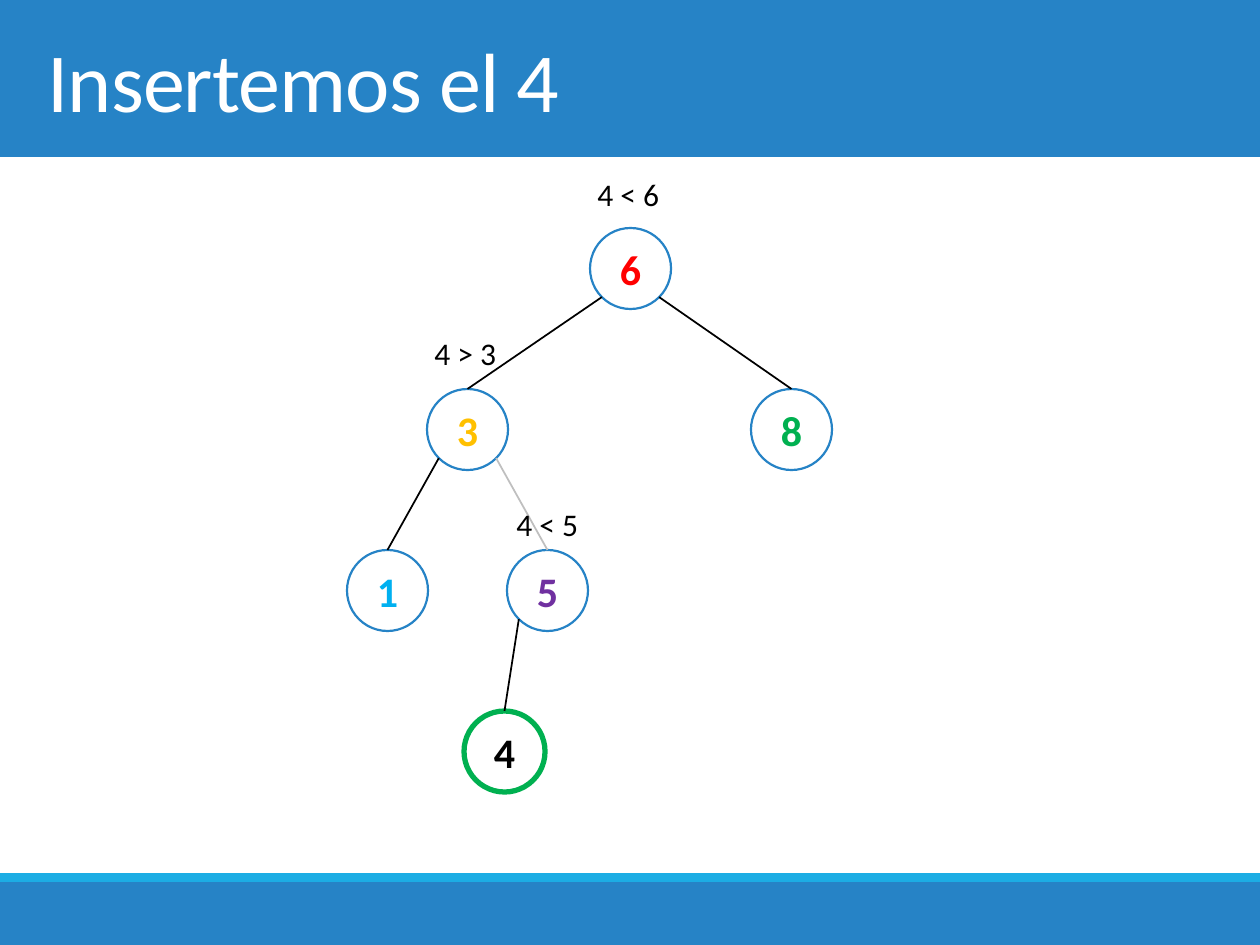
from dataclasses import dataclass
from math import sqrt

from lxml import etree
from pptx import Presentation
from pptx.dml.color import RGBColor
from pptx.enum.shapes import MSO_CONNECTOR, MSO_SHAPE
from pptx.enum.text import MSO_ANCHOR, MSO_AUTO_SIZE, PP_ALIGN
from pptx.oxml.ns import qn
from pptx.util import Emu, Inches, Pt

PX_PER_INCH = 126
PAGE_WIDTH, PAGE_HEIGHT = 1260, 945
NODE_SIZE = 81
LEVEL_TOP, LEVEL_GAP = 228, 161
LABEL_WIDTH, LABEL_HEIGHT = 88, 50
FONT = "Calibri"

STRAIGHT = MSO_CONNECTOR.STRAIGHT
RECTANGLE, OVAL = MSO_SHAPE.RECTANGLE, MSO_SHAPE.OVAL
MIDDLE, TOP = MSO_ANCHOR.MIDDLE, MSO_ANCHOR.TOP
LEFT, CENTER = PP_ALIGN.LEFT, PP_ALIGN.CENTER
NO_FIT, GROW = MSO_AUTO_SIZE.NONE, MSO_AUTO_SIZE.SHAPE_TO_FIT_TEXT

WHITE = RGBColor(0xFF, 0xFF, 0xFF)
BLACK = RGBColor(0x00, 0x00, 0x00)
BLUE = RGBColor(0x26, 0x83, 0xC6)
CYAN = RGBColor(0x1C, 0xAD, 0xE4)
GRAY = RGBColor(0xBF, 0xBF, 0xBF)
RED = RGBColor(0xFF, 0x00, 0x00)
GREEN = RGBColor(0x00, 0xB0, 0x50)
GOLD = RGBColor(0xFF, 0xC0, 0x00)
SKY = RGBColor(0x00, 0xB0, 0xF0)
PURPLE = RGBColor(0x70, 0x30, 0xA0)


@dataclass(frozen=True)
class Band:
    top: int
    height: int
    color: RGBColor


@dataclass(frozen=True)
class Node:
    key: str
    left: int
    level: int
    color: RGBColor
    outline: RGBColor = BLUE
    outline_width: float = 1.25

    @property
    def top(self) -> int:
        return LEVEL_TOP + self.level * LEVEL_GAP

    @property
    def center(self) -> float:
        return self.left + NODE_SIZE / 2


@dataclass(frozen=True)
class Edge:
    parent: str
    child: str
    color: RGBColor = BLACK


@dataclass(frozen=True)
class Label:
    text: str
    left: int
    top: int


BANDS = [Band(0, 157, BLUE), Band(882, 63, BLUE), Band(873, 9, CYAN)]
NODES = [
    Node("6", 590, 0, RED),
    Node("8", 751, 1, GREEN),
    Node("3", 427, 1, GOLD),
    Node("1", 347, 2, SKY),
    Node("5", 507, 2, PURPLE),
    Node("4", 464, 3, BLACK, GREEN, 3),
]
EDGES = [
    Edge("6", "8"),
    Edge("3", "1"),
    Edge("3", "5", GRAY),
    Edge("6", "3"),
    Edge("5", "4"),
]
LABELS = [
    Label("4 < 6", 585, 169),
    Label("4 > 3", 422, 328),
    Label("4 < 5", 504, 499),
]


def px(length: float) -> Emu:
    return Emu(round(length * Inches(1) / PX_PER_INCH))


def write_text(box, text: str, *, size: int, color: RGBColor, bold=False,
               align=LEFT, anchor=TOP, wrap=True, fit=NO_FIT, spacing=0) -> None:
    frame = box.text_frame
    frame.word_wrap = wrap
    frame.auto_size = fit
    frame.vertical_anchor = anchor
    para = frame.paragraphs[0]
    para.alignment = align
    span = para.add_run()
    span.text = text
    span.font.name = FONT
    span.font.size = Pt(size)
    span.font.bold = bold
    span.font.color.rgb = color
    if spacing:
        span.font._element.set("spc", str(spacing))


def draw_band(page, band: Band) -> None:
    box = page.shapes.add_shape(
        RECTANGLE, 0, px(band.top), px(PAGE_WIDTH), px(band.height))
    box.shadow.inherit = False
    box.fill.solid()
    box.fill.fore_color.rgb = band.color
    box.line.fill.background()


def place_title(page, text: str) -> None:
    title = page.shapes.title
    title.left, title.top = px(35), px(0)
    title.width, title.height = px(1191), px(157)
    write_text(title, text, size=48, color=WHITE, anchor=MIDDLE, spacing=-50)
    title.element.getparent().append(title.element)


def draw_node(page, node: Node) -> None:
    circle = page.shapes.add_shape(
        OVAL, px(node.left), px(node.top), px(NODE_SIZE), px(NODE_SIZE))
    circle.shadow.inherit = False
    circle.fill.solid()
    circle.fill.fore_color.rgb = WHITE
    circle.line.color.rgb = node.outline
    circle.line.width = Pt(node.outline_width)
    write_text(circle, node.key, size=24, color=node.color, bold=True,
               align=CENTER, anchor=MIDDLE)


def draw_edge(page, edge: Edge, nodes: dict[str, Node]) -> None:
    parent, child = nodes[edge.parent], nodes[edge.child]
    reach = NODE_SIZE / 2 / sqrt(2)
    side = 1 if child.center > parent.center else -1
    line = page.shapes.add_connector(
        STRAIGHT,
        px(parent.center + side * reach), px(parent.top + NODE_SIZE / 2 + reach),
        px(child.center), px(child.top))
    line.line.color.rgb = edge.color
    line.line.width = Pt(1)
    etree.SubElement(line.element.spPr, qn("a:effectLst"))


def draw_label(page, label: Label) -> None:
    box = page.shapes.add_textbox(
        px(label.left), px(label.top), px(LABEL_WIDTH), px(LABEL_HEIGHT))
    write_text(box, label.text, size=18, color=BLACK, wrap=False, fit=GROW)


def main() -> None:
    deck = Presentation()
    deck.slide_width, deck.slide_height = px(PAGE_WIDTH), px(PAGE_HEIGHT)
    page = deck.slides.add_slide(deck.slide_layouts[5])
    for band in BANDS:
        draw_band(page, band)
    place_title(page, "Insertemos el 4")
    for node in NODES:
        draw_node(page, node)
    nodes = {node.key: node for node in NODES}
    for edge in EDGES:
        draw_edge(page, edge, nodes)
    for label in LABELS:
        draw_label(page, label)
    deck.save("out.pptx")


if __name__ == "__main__":
    main()
